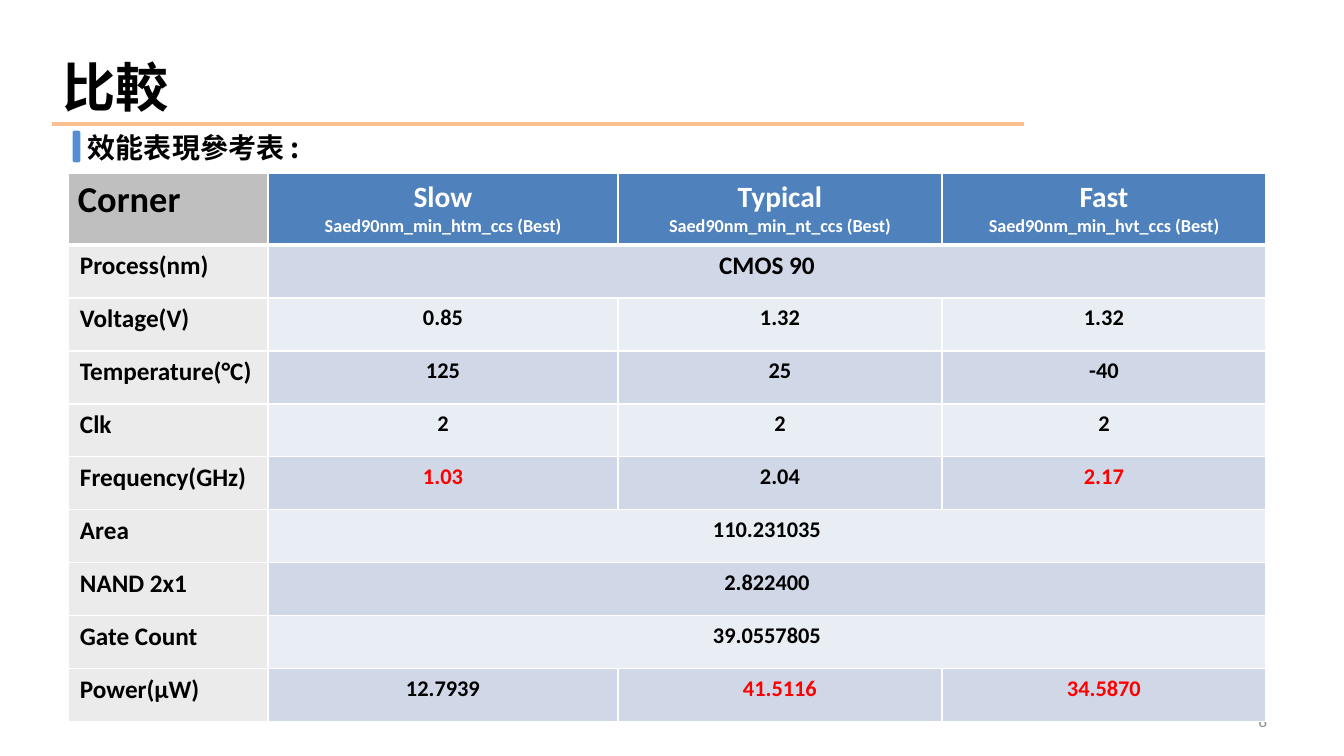
from lxml.etree import SubElement
from pptx import Presentation
from pptx.dml.color import RGBColor
from pptx.enum.shapes import MSO_CONNECTOR, MSO_SHAPE
from pptx.enum.text import MSO_ANCHOR, PP_ALIGN
from pptx.oxml import parse_xml
from pptx.oxml.ns import nsdecls, qn
from pptx.util import Emu, Pt

# Content
TITLE = "比較"
SUBTITLE = "效能表現參考表 :"
PAGE_NUMBER = "8"
CORNERS = [
    ("Slow", "Saed90nm_min_htm_ccs (Best)"),
    ("Typical", "Saed90nm_min_nt_ccs (Best)"),
    ("Fast", "Saed90nm_min_hvt_ccs (Best)"),
]
# A single value spans all three corners
METRICS = [
    ("Process(nm)", ["CMOS 90"]),
    ("Voltage(V)", ["0.85", "1.32", "1.32"]),
    ("Temperature(°C)", ["125", "25", "-40"]),
    ("Clk", ["2", "2", "2"]),
    ("Frequency(GHz)", ["1.03", "2.04", "2.17"]),
    ("Area", ["110.231035"]),
    ("NAND 2x1", ["2.822400"]),
    ("Gate Count", ["39.0557805"]),
    ("Power(μW)", ["12.7939", "41.5116", "34.5870"]),
]
HIGHLIGHTED = {"1.03", "2.17", "41.5116", "34.5870"}

# Style
LATIN, CJK = "Calibri", "Noto Sans CJK SC"
BLACK, WHITE, RED, GRAY = "000000", "FFFFFF", "FF0000", "8C8C8C"
HEADER_FILL, CORNER_FILL, LABEL_FILL = "4F81BD", "BFBFBF", "EBEBEB"
BANDS = ["D0D8E8", "E9EDF4"]
RULE_COLOR, MARKER_COLOR = "FAC090", "558ED5"

# Layout in px
EMU_PER_PX = 914400 / 100.8
COLUMN_WIDTHS = [200, 350, 324, 324]
HEADER_HEIGHT, ROW_HEIGHT = 72, 53
TABLE_LEFT, TABLE_TOP = 68, 173


def px(length):
    return Emu(round(length * EMU_PER_PX))


def color(value):
    return RGBColor.from_string(value)


def write(paragraph, text, size, font=LATIN, fill=BLACK, bold=True, align=PP_ALIGN.LEFT):
    paragraph.alignment = align
    run = paragraph.add_run()
    run.text = text
    run.font.size = Pt(size)
    run.font.bold = bold
    run.font.color.rgb = color(fill)
    run.font.name = font
    SubElement(run.font._element, qn("a:ea")).set("typeface", font)


def add_text(slide, box, text, size, anchor=MSO_ANCHOR.TOP, **style):
    frame = slide.shapes.add_textbox(*map(px, box)).text_frame
    frame.word_wrap = True
    frame.vertical_anchor = anchor
    write(frame.paragraphs[0], text, size, **style)


def format_cell(cell, fill, margins=(12, 6), bottom_width=1):
    cell.fill.solid()
    cell.fill.fore_color.rgb = color(fill)
    cell.margin_left = cell.margin_right = px(margins[0])
    cell.margin_top = cell.margin_bottom = px(margins[1])
    widths = {"lnL": 1, "lnR": 1, "lnT": 1, "lnB": bottom_width}
    properties = cell._tc.get_or_add_tcPr()
    for index, (side, width) in enumerate(widths.items()):
        properties.insert(index, parse_xml(
            f'<a:{side} {nsdecls("a")} w="{Pt(width)}"><a:solidFill>'
            f'<a:srgbClr val="{WHITE}"/></a:solidFill></a:{side}>'))


def add_comparison_table(slide):
    height = HEADER_HEIGHT + ROW_HEIGHT * len(METRICS)
    table = slide.shapes.add_table(
        len(METRICS) + 1, len(COLUMN_WIDTHS), px(TABLE_LEFT), px(TABLE_TOP),
        px(sum(COLUMN_WIDTHS)), px(height)).table
    for column, width in zip(table.columns, COLUMN_WIDTHS):
        column.width = px(width)
    for index, row in enumerate(table.rows):
        row.height = px(ROW_HEIGHT if index else HEADER_HEIGHT)

    # Header row
    corner = table.cell(0, 0)
    format_cell(corner, CORNER_FILL, margins=(10, 5), bottom_width=3)
    write(corner.text_frame.paragraphs[0], "Corner", 26)
    for column, (name, library) in enumerate(CORNERS, 1):
        cell = table.cell(0, column)
        format_cell(cell, HEADER_FILL, bottom_width=3)
        frame = cell.text_frame
        write(frame.paragraphs[0], name, 21, fill=WHITE, align=PP_ALIGN.CENTER)
        write(frame.add_paragraph(), library, 13, fill=WHITE, align=PP_ALIGN.CENTER)

    # Metric rows
    for row, (label, values) in enumerate(METRICS, 1):
        label_cell = table.cell(row, 0)
        format_cell(label_cell, LABEL_FILL)
        write(label_cell.text_frame.paragraphs[0], label, 18, align=PP_ALIGN.JUSTIFY)
        for column in range(1, len(COLUMN_WIDTHS)):
            format_cell(table.cell(row, column), BANDS[(row - 1) % 2])
        if len(values) == 1:
            table.cell(row, 1).merge(table.cell(row, len(CORNERS)))
        for column, value in enumerate(values, 1):
            write(table.cell(row, column).text_frame.paragraphs[0], value,
                  18 if row == 1 else 16,
                  fill=RED if value in HIGHLIGHTED else BLACK, align=PP_ALIGN.CENTER)


def main():
    presentation = Presentation()
    presentation.slide_width, presentation.slide_height = px(1344), px(756)
    slide = presentation.slides.add_slide(presentation.slide_layouts[5])

    # Title and rule
    title = slide.shapes.title
    title.left, title.top, title.width, title.height = map(px, (52, 23, 1210, 126))
    title.text_frame.vertical_anchor = MSO_ANCHOR.MIDDLE
    write(title.text_frame.paragraphs[0], TITLE, 38, font=CJK)
    rule = slide.shapes.add_connector(
        MSO_CONNECTOR.STRAIGHT, px(52), px(124), px(1024), px(124))
    rule.line.color.rgb = color(RULE_COLOR)
    rule.line.width = Pt(2.25)
    SubElement(rule._element.spPr, qn("a:effectLst"))

    # Page number sits behind the table
    add_text(slide, (964, 701, 313, 40), PAGE_NUMBER, 12, anchor=MSO_ANCHOR.MIDDLE,
             fill=GRAY, bold=False, align=PP_ALIGN.RIGHT)
    add_comparison_table(slide)

    # Subtitle with marker
    marker = slide.shapes.add_shape(
        MSO_SHAPE.ROUNDED_RECTANGLE, px(74), px(132), px(5), px(29))
    marker.shadow.inherit = False
    marker.fill.solid()
    marker.fill.fore_color.rgb = color(MARKER_COLOR)
    marker.line.color.rgb = color(MARKER_COLOR)
    marker.line.width = Pt(2)
    add_text(slide, (78, 126, 847, 44), SUBTITLE, 20, font=CJK)

    presentation.save("out.pptx")


if __name__ == "__main__":
    main()
